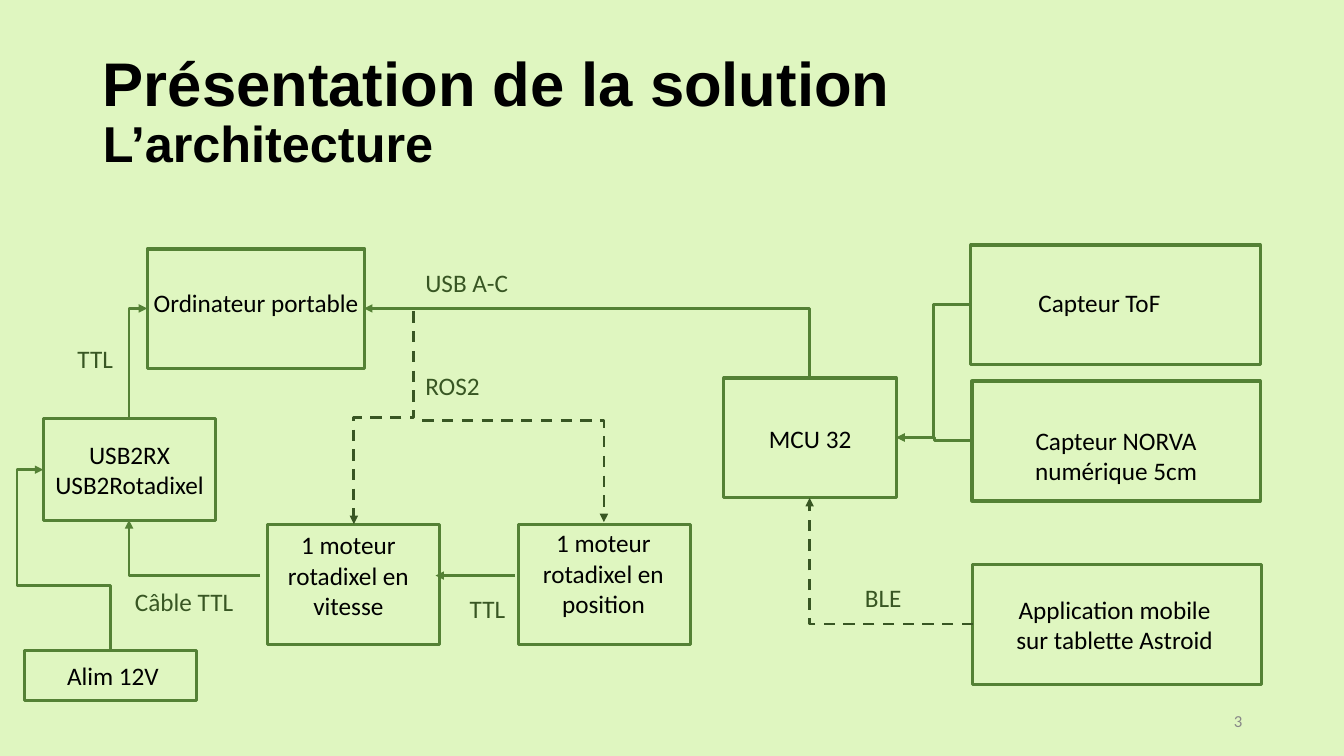
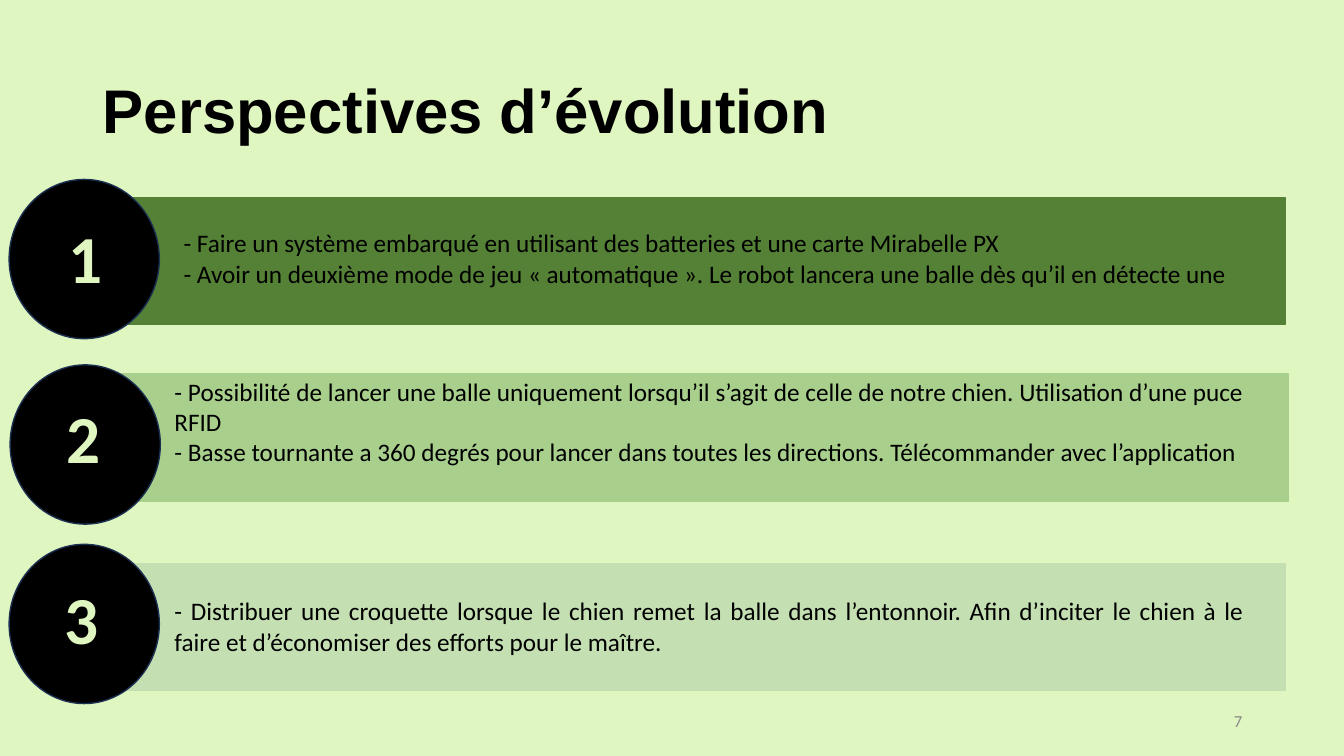
"""Build two slides: the architecture diagram and the outlook bands."""
from lxml import etree
from pptx import Presentation
from pptx.dml.color import RGBColor
from pptx.enum.dml import MSO_LINE
from pptx.enum.shapes import MSO_CONNECTOR, MSO_SHAPE
from pptx.enum.text import MSO_ANCHOR, PP_ALIGN
from pptx.oxml.ns import qn
from pptx.util import Pt

PX = 9144
SLIDE_SIZE = (1333, 750)
TITLE_FRAME = (92, 40, 1150, 145)
NUMBER_FRAME = (942, 695, 300, 40)

BACKGROUND = RGBColor(0xDF, 0xF6, 0xC0)
BLACK = RGBColor(0x00, 0x00, 0x00)
GREEN = RGBColor(0x54, 0x81, 0x35)
DARK_GREEN = RGBColor(0x38, 0x56, 0x23)
MID_GREEN = RGBColor(0xA8, 0xD0, 0x8C)
PALE_GREEN = RGBColor(0xC4, 0xE0, 0xB2)
NAVY = RGBColor(0x1C, 0x30, 0x52)
GREY = RGBColor(0x88, 0x88, 0x88)

ARCHITECTURE_TITLE = [("Présentation de la solution", 44), ("L’architecture", 36)]
OUTLOOK_TITLE = [("Perspectives d’évolution", 44)]

# frame, lines, (left, right) margins, vertical text shift
COMPONENTS = [
    ((146, 247, 216, 119), ["Ordinateur portable"], (0, 0), -6),
    ((718, 375, 171, 119), ["MCU 32"], (0, 0), 0),
    ((965, 560, 286, 119), ["Application mobile", "sur tablette Astroid"], (0, 5), 0),
    ((963, 243, 287, 119), ["Capteur ToF"], (0, 32), -2),
    ((964, 378, 286, 119), ["Capteur NORVA", "numérique 5cm"], (0, 0), 14),
    ((265, 520, 171, 119), ["1 moteur", "rotadixel en", "vitesse"], (0, 10), -9),
    ((514, 520, 171, 119), ["1 moteur", "rotadixel en", "position"], (0, 2), -11),
    ((43, 415, 171, 101), ["USB2RX", "USB2Rotadixel"], (0, 0), 0),
    ((24, 645, 171, 50), ["Alim 12V"], (5, 0), 0),
]

# start, end, preset, first leg is vertical, adjustments, dashed
LINKS = [
    ((963, 302), (889, 434), "bentConnector3", False, [0.5], False),
    ((964, 437), (889, 434), "bentConnector3", False, [0.5], False),
    ((965, 619), (803, 494), "bentConnector2", False, [], True),
    ((410, 309), (351, 520), "bentConnector3", True, [0.5], True),
    ((258, 571), (128, 516), "bentConnector2", False, [], False),
    ((803, 375), (361, 306), "bentConnector2", True, [], False),
    ((128, 415), (146, 306), "bentConnector2", True, [], False),
    ((419, 417), (599, 518), "bentConnector2", False, [], True),
    ((511, 571), (432, 571), "line", False, [], False),
    ((110, 645), (43, 466), "bentConnector4", True, [0.36, 1.39], False),
]

LABELS = [
    (848, 573, "BLE"),
    (412, 362, "ROS2"),
    (412, 260, "USB A-C"),
    (124, 577, "Câble TTL"),
    (67, 336, "TTL"),
    (456, 584, "TTL"),
]

BANDS = [
    {"bar": (110, 196, 1165, 126), "color": GREEN, "margins": (72, 32), "shift": -3,
     "disc": (9, 178), "disc_margins": (2, 0), "disc_shift": -2,
     "lines": ["- Faire un système embarqué en utilisant des batteries et une carte Mirabelle PX",
               "- Avoir un deuxième mode de jeu «\u00a0automatique\u00a0». Le robot lancera une balle "
               "dès qu’il en détecte une"]},
    {"bar": (97, 371, 1181, 126), "color": MID_GREEN, "margins": (76, 44), "shift": -16,
     "disc": (10, 362), "disc_margins": (0, 4), "disc_shift": -8,
     "lines": ["- Possibilité de lancer une balle uniquement lorsqu’il s’agit de celle de notre "
               "chien. Utilisation d’une puce RFID",
               "- Basse tournante a 360 degrés pour lancer dans toutes les directions. "
               "Télécommander avec l’application"]},
    {"bar": (94, 559, 1181, 126), "color": PALE_GREEN, "margins": (79, 41), "shift": -1,
     "disc": (9, 540), "disc_margins": (0, 6), "disc_shift": -6,
     "lines": ["- Distribuer une croquette lorsque le chien remet la balle dans l’entonnoir. Afin "
               "d’inciter le chien à le faire et d’économiser des efforts pour le maître."]},
]
DISC_SIZE = (149, 158)


def scaled(lengths):
    return [round(length * PX) for length in lengths]


def write(frame, lines, size, color, align, bold=False):
    frame.word_wrap = True
    frame.text = "\n".join(lines)
    for para in frame.paragraphs:
        para.alignment = align
        for span in para.runs:
            span.font.name = "Calibri"
            span.font.size = Pt(size)
            span.font.bold = bold
            span.font.color.rgb = color


def add_box(slide, preset, place, fill, line, weight, lines, margins, shift,
            size=18, color=BLACK, align=PP_ALIGN.CENTER, bold=False):
    box = slide.shapes.add_shape(preset, *scaled(place))
    box.shadow.inherit = False
    if fill is None:
        box.fill.background()
    else:
        box.fill.solid()
        box.fill.fore_color.rgb = fill
    box.line.color.rgb = line
    box.line.width = Pt(weight)
    frame = box.text_frame
    frame.vertical_anchor = MSO_ANCHOR.MIDDLE
    frame.margin_left, frame.margin_right = scaled(margins)
    frame.margin_top, frame.margin_bottom = scaled((max(0, 2 * shift), max(0, -2 * shift)))
    write(frame, lines, size, color, align, bold)


def add_label(slide, place, text, size=18, color=DARK_GREEN, align=PP_ALIGN.LEFT):
    label = slide.shapes.add_textbox(*scaled(place))
    label.text_frame.vertical_anchor = MSO_ANCHOR.MIDDLE
    write(label.text_frame, [text], size, color, align)


def bend(link, start, end, preset, vertical, adjustments):
    run, rise = end[0] - start[0], end[1] - start[1]
    width, height = abs(run), abs(rise)
    turn, flip_h, flip_v = 0, run < 0, rise < 0
    if vertical:
        width, height = height, width
        turn, flip_h, flip_v = 90, rise < 0, run > 0
    if flip_h and flip_v:
        turn, flip_h, flip_v = turn + 180, False, False
    link.left, link.top, link.width, link.height = scaled((
        (start[0] + end[0] - width) / 2, (start[1] + end[1] - height) / 2, width, height))
    properties = link._element.spPr
    transform = properties.find(qn("a:xfrm"))
    transform.set("rot", str(turn * 60000))
    transform.set("flipH", str(int(flip_h)))
    transform.set("flipV", str(int(flip_v)))
    geometry = properties.find(qn("a:prstGeom"))
    geometry.set("prst", preset)
    guides = geometry.find(qn("a:avLst"))
    for number, value in enumerate(adjustments, 1):
        etree.SubElement(guides, qn("a:gd"), name=f"adj{number}",
                         fmla=f"val {round(value * 100000)}")


def add_link(slide, start, end, preset, vertical, adjustments, dashed):
    straight = preset == "line"
    kind = MSO_CONNECTOR.STRAIGHT if straight else MSO_CONNECTOR.ELBOW
    link = slide.shapes.add_connector(kind, *scaled(start + end))
    if not straight:
        bend(link, start, end, preset, vertical, adjustments)
    link.line.color.rgb = DARK_GREEN if dashed else GREEN
    link.line.width = Pt(2)
    if dashed:
        link.line.dash_style = MSO_LINE.DASH
    properties = link._element.spPr
    etree.SubElement(properties.find(qn("a:ln")), qn("a:tailEnd"), type="triangle")
    etree.SubElement(properties, qn("a:effectLst"))


def add_page(deck, title_lines, number):
    page = deck.slides.add_slide(deck.slide_layouts[5])
    title = page.shapes.title
    title.left, title.top, title.width, title.height = scaled(TITLE_FRAME)
    title.text_frame.vertical_anchor = MSO_ANCHOR.MIDDLE
    title.text_frame.text = "\v".join(text for text, size in title_lines)
    para = title.text_frame.paragraphs[0]
    para.alignment = PP_ALIGN.LEFT
    para.line_spacing = 0.9
    for span, (text, size) in zip(para.runs, title_lines):
        span.font.name = "Arial"
        span.font.size = Pt(size)
        span.font.bold = True
        span.font.color.rgb = BLACK
    add_label(page, NUMBER_FRAME, number, 12, GREY, PP_ALIGN.RIGHT)
    return page


def add_architecture(deck):
    page = add_page(deck, ARCHITECTURE_TITLE, "3")
    for place, lines, margins, shift in COMPONENTS:
        add_box(page, MSO_SHAPE.RECTANGLE, place, None, GREEN, 2.25, lines, margins, shift)
    for link in LINKS:
        add_link(page, *link)
    for left, top, text in LABELS:
        add_label(page, (left, top, 139, 40), text)


def add_outlook(deck):
    page = add_page(deck, OUTLOOK_TITLE, "7")
    for number, band in enumerate(BANDS, 1):
        add_box(page, MSO_SHAPE.RECTANGLE, band["bar"], band["color"], band["color"], 1,
                band["lines"], band["margins"], band["shift"], align=PP_ALIGN.JUSTIFY)
        add_box(page, MSO_SHAPE.OVAL, band["disc"] + DISC_SIZE, BLACK, NAVY, 1,
                [str(number)], band["disc_margins"], band["disc_shift"],
                size=48, color=BACKGROUND, bold=True)


def main():
    deck = Presentation()
    deck.slide_width, deck.slide_height = scaled(SLIDE_SIZE)
    fill = deck.slide_master.background.fill
    fill.solid()
    fill.fore_color.rgb = BACKGROUND
    add_architecture(deck)
    add_outlook(deck)
    deck.save("out.pptx")


if __name__ == "__main__":
    main()
